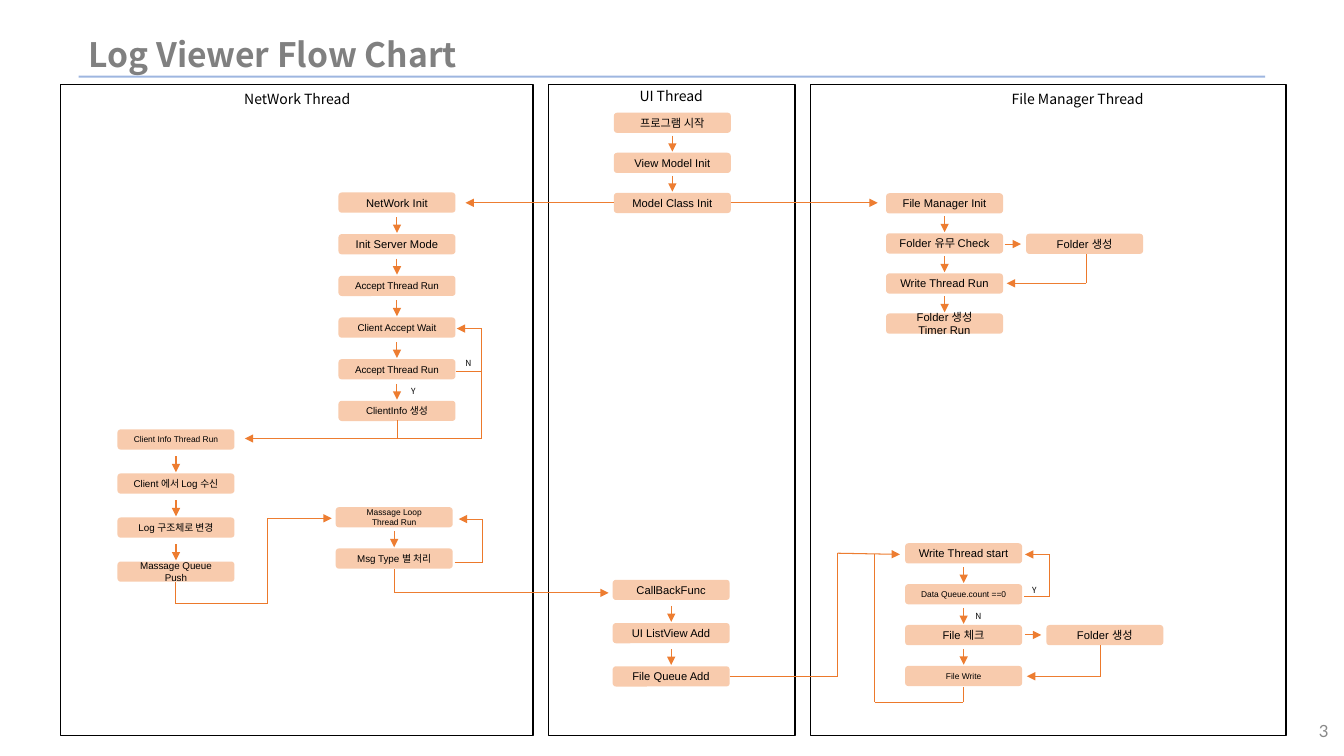
import pptx
import pptx.dml.color
import pptx.enum.shapes
import pptx.enum.text
import pptx.oxml.ns
import pptx.util
from dataclasses import dataclass
from itertools import pairwise
from lxml import etree

Cm = pptx.util.Cm
Pt = pptx.util.Pt
Shapes = pptx.enum.shapes.MSO_SHAPE
Align = pptx.enum.text.PP_ALIGN
Anchor = pptx.enum.text.MSO_ANCHOR


@dataclass(frozen=True)
class Theme:
    heading_font: str = "Noto Sans CJK KR"
    step_font: str = "Arial"
    number_font: str = "Lato"
    ink: str = "000000"
    title_ink: str = "808080"
    number_ink: str = "898989"
    rule: str = "3F6FC3"
    step_fill: str = "F8CBAD"
    arrow: str = "ED7D31"
    wire: str = "EC792B"
    title_size: float = 24
    number_size: float = 12
    heading_size: float = 10
    large: float = 8
    medium: float = 7
    small: float = 6


THEME = Theme()
STEP_WIDTH, STEP_HEIGHT = 2.95, 0.51


def colour(code):
    return pptx.dml.color.RGBColor.from_string(code)


def write_text(frame, text, *, font, size, ink=THEME.ink, bold=False,
               align=Align.LEFT, anchor=Anchor.TOP):
    """Fill a text frame, one paragraph for each line of text."""
    frame.word_wrap = True
    frame.vertical_anchor = anchor
    for index, line in enumerate(text.split("\n")):
        para = frame.add_paragraph() if index else frame.paragraphs[0]
        para.alignment = align
        span = para.add_run()
        span.text = line
        span.font.name = font
        span.font.size = Pt(size)
        span.font.bold = bold
        span.font.color.rgb = colour(ink)


class FlowChart:
    def __init__(self, deck, theme):
        self.theme = theme
        self.page = deck.slides.add_slide(deck.slide_layouts[5])

    def title(self, text):
        box = self.page.shapes.title
        box.left, box.top, box.width, box.height = Cm(1.98), Cm(0.79), Cm(29.87), Cm(1.14)
        write_text(box.text_frame, text, font=self.theme.heading_font,
                   size=self.theme.title_size, ink=self.theme.title_ink,
                   bold=True, anchor=Anchor.MIDDLE)

    def label(self, text, left, top, width, height, **style):
        box = self.page.shapes.add_textbox(Cm(left), Cm(top), Cm(width), Cm(height))
        write_text(box.text_frame, text, **style)

    def panel(self, left, width):
        box = self.page.shapes.add_shape(Shapes.RECTANGLE, Cm(left), Cm(2.13),
                                         Cm(width), Cm(16.41))
        box.shadow.inherit = False
        box.fill.background()
        box.line.color.rgb = colour(self.theme.ink)
        box.line.width = Pt(1)

    def step(self, text, size, left, top):
        box = self.page.shapes.add_shape(Shapes.ROUNDED_RECTANGLE, Cm(left), Cm(top),
                                         Cm(STEP_WIDTH), Cm(STEP_HEIGHT))
        box.shadow.inherit = False
        box.fill.solid()
        box.fill.fore_color.rgb = colour(self.theme.step_fill)
        box.line.fill.background()
        write_text(box.text_frame, text, font=self.theme.step_font, size=size,
                   align=Align.CENTER, anchor=Anchor.MIDDLE)

    def chain(self, left, top, pitch, steps):
        """Stack steps at an even pitch, with a short arrow into each later one."""
        centre = left + STEP_WIDTH / 2
        for index, (text, size) in enumerate(steps):
            y = top + index * pitch
            self.step(text, size, left, y)
            if index:
                self.line((centre, y - 0.43), (centre, y - 0.03), head=True)

    def line(self, start, end, head=False, ink=None, width=0.75, alpha=None):
        line = self.page.shapes.add_connector(
            pptx.enum.shapes.MSO_CONNECTOR.STRAIGHT,
            Cm(start[0]), Cm(start[1]), Cm(end[0]), Cm(end[1]))
        line.line.color.rgb = colour(ink or (self.theme.arrow if head else self.theme.wire))
        line.line.width = Pt(width)
        qn = pptx.oxml.ns.qn
        properties = line._element.spPr
        stroke = properties.find(qn("a:ln"))
        if head:
            etree.SubElement(stroke, qn("a:tailEnd"), type="triangle")
        if alpha:
            etree.SubElement(stroke.find(".//" + qn("a:srgbClr")), qn("a:alpha"), val=str(alpha))
        etree.SubElement(properties, qn("a:effectLst"))

    def route(self, *points, head=True):
        """Join points with straight lines; the last one may carry an arrowhead."""
        legs = list(pairwise(points))
        for index, (start, end) in enumerate(legs):
            self.line(start, end, head=head and index == len(legs) - 1)


def main():
    deck = pptx.Presentation()
    deck.slide_width, deck.slide_height = Cm(33.87), Cm(19.05)
    theme = THEME
    large, medium, small = theme.large, theme.medium, theme.small
    chart = FlowChart(deck, theme)

    # Title, rule and page number
    chart.line((1.98, 1.93), (31.88, 1.93), ink=theme.rule, width=1.5, alpha=50000)
    chart.title("Log Viewer Flow Chart")
    chart.label("3", 27.13, 17.91, 6.6, 1.02, font=theme.number_font, size=theme.number_size,
                ink=theme.number_ink, align=Align.RIGHT, anchor=Anchor.MIDDLE)

    # Thread panels and their headings
    for left, width in ((13.82, 6.22), (1.52, 11.91), (20.42, 11.99)):
        chart.panel(left, width)
    for text, left, top, width in (("UI Thread", 15.72, 2.08, 2.39),
                                   ("NetWork Thread", 5.89, 2.16, 3.2),
                                   ("File Manager Thread", 25.2, 2.16, 3.91)):
        chart.label(text, left, top, width, 0.69, font=theme.heading_font,
                    size=theme.heading_size, align=Align.CENTER)

    # UI thread
    chart.chain(15.47, 2.84, 1.01, [("프로그램 시작", large), ("View Model Init", large),
                                    ("Model Class Init", large)])
    chart.chain(15.44, 14.61, 1.09, [("CallBackFunc", large), ("UI ListView Add", large),
                                     ("File Queue Add", large)])

    # Network thread
    chart.chain(8.53, 4.85, 1.05, [
        ("NetWork Init", large), ("Init Server Mode", large), ("Accept Thread Run", medium),
        ("Client Accept Wait", medium), ("Accept Thread Run", medium),
        ("ClientInfo 생성", medium)])
    chart.chain(2.96, 10.82, 1.11, [
        ("Client Info Thread Run", small), ("Client 에서 Log 수신", medium),
        ("Log 구조체로 변경", medium), ("Massage Queue Push", medium)])
    chart.chain(8.46, 12.78, 1.04, [("Massage Loop\nThread Run", small),
                                    ("Msg Type 별 처리", medium)])

    # File manager thread
    chart.chain(22.33, 4.87, 1.01, [
        ("File Manager Init", large), ("Folder 유무 Check", large),
        ("Write Thread Run", large), ("Folder 생성\nTimer Run", large)])
    chart.chain(22.81, 13.69, 1.03, [
        ("Write Thread start", large), ("Data Queue.count ==0", small),
        ("File 체크", large), ("File Write", small)])
    for left, top in ((25.86, 5.89), (26.37, 15.75)):
        chart.step("Folder 생성", large, left, top)

    # Links between threads
    chart.route((15.47, 5.11), (11.73, 5.11))
    chart.route((18.42, 5.11), (22.12, 5.11))
    chart.route((9.93, 14.35), (9.93, 14.94), (15.34, 14.94))
    chart.route((18.39, 17.04), (21.11, 17.04), (21.11, 13.94), (22.68, 13.97))

    # Links inside the network thread
    chart.route((11.48, 9.37), (12.14, 9.37), (12.14, 8.28), (11.51, 8.28))
    chart.route((10.01, 10.59), (10.01, 11.05), (12.14, 11.05), (12.14, 9.35), head=False)
    chart.route((10.01, 11.05), (6.17, 11.05))
    chart.route((4.42, 14.66), (4.42, 15.21), (6.73, 15.21), (6.73, 13.06), (8.36, 13.06))
    chart.route((11.46, 14.17), (12.17, 14.17), (12.17, 13.08), (11.56, 13.08))

    # Links inside the file manager thread
    chart.route((25.32, 6.15), (25.73, 6.15))
    chart.route((27.38, 6.4), (27.38, 7.14), (25.37, 7.14))
    chart.route((25.81, 15.04), (26.44, 15.04), (26.44, 13.97), (25.83, 13.97))
    chart.route((25.83, 16), (26.24, 16))
    chart.route((27.74, 16.26), (27.74, 17.04), (25.88, 17.04))
    chart.route((24.28, 17.32), (24.28, 17.7), (22.05, 17.7), (22.05, 13.97), head=False)

    # Yes and no marks
    for mark, left, top in (("Y", 25.76, 14.61), ("N", 24.33, 15.27),
                            ("Y", 10.11, 9.6), ("N", 11.48, 8.89)):
        chart.label(mark, left, top, 0.79, 0.51, font=theme.heading_font, size=small)

    deck.save("out.pptx")


if __name__ == "__main__":
    main()
